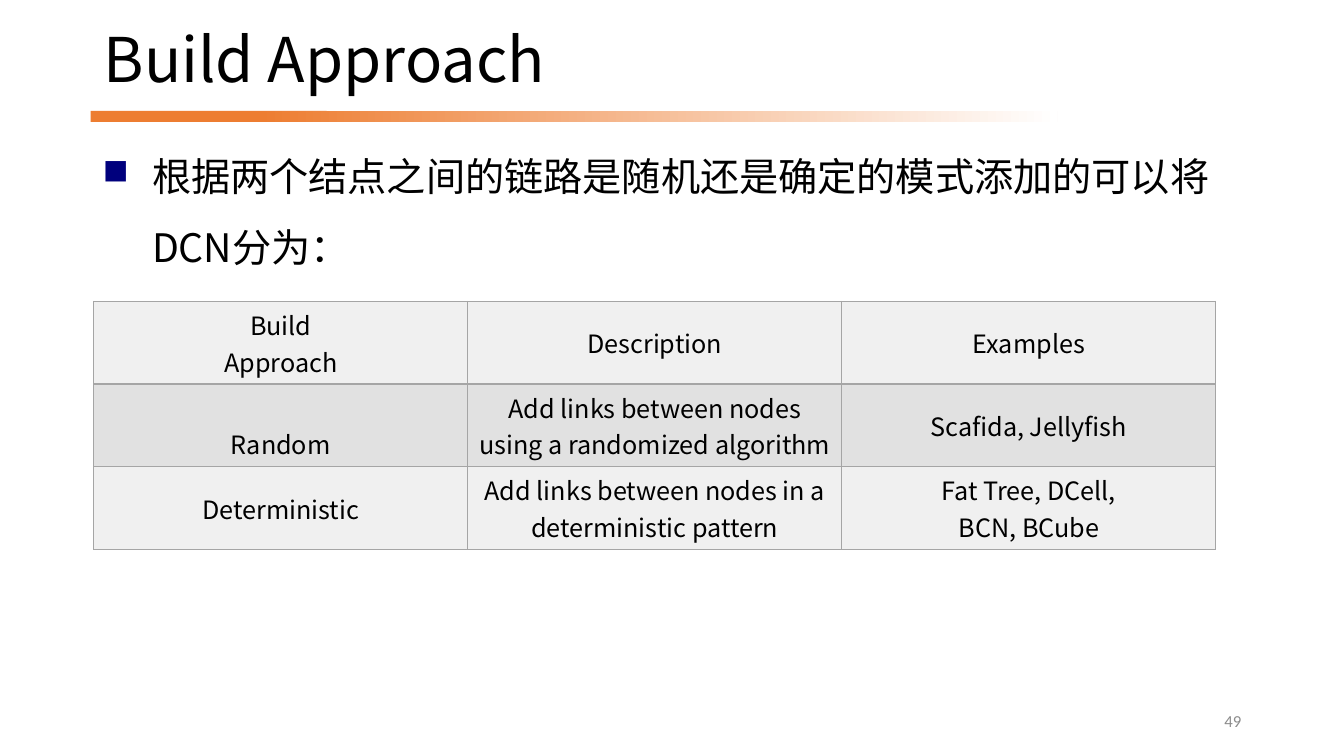
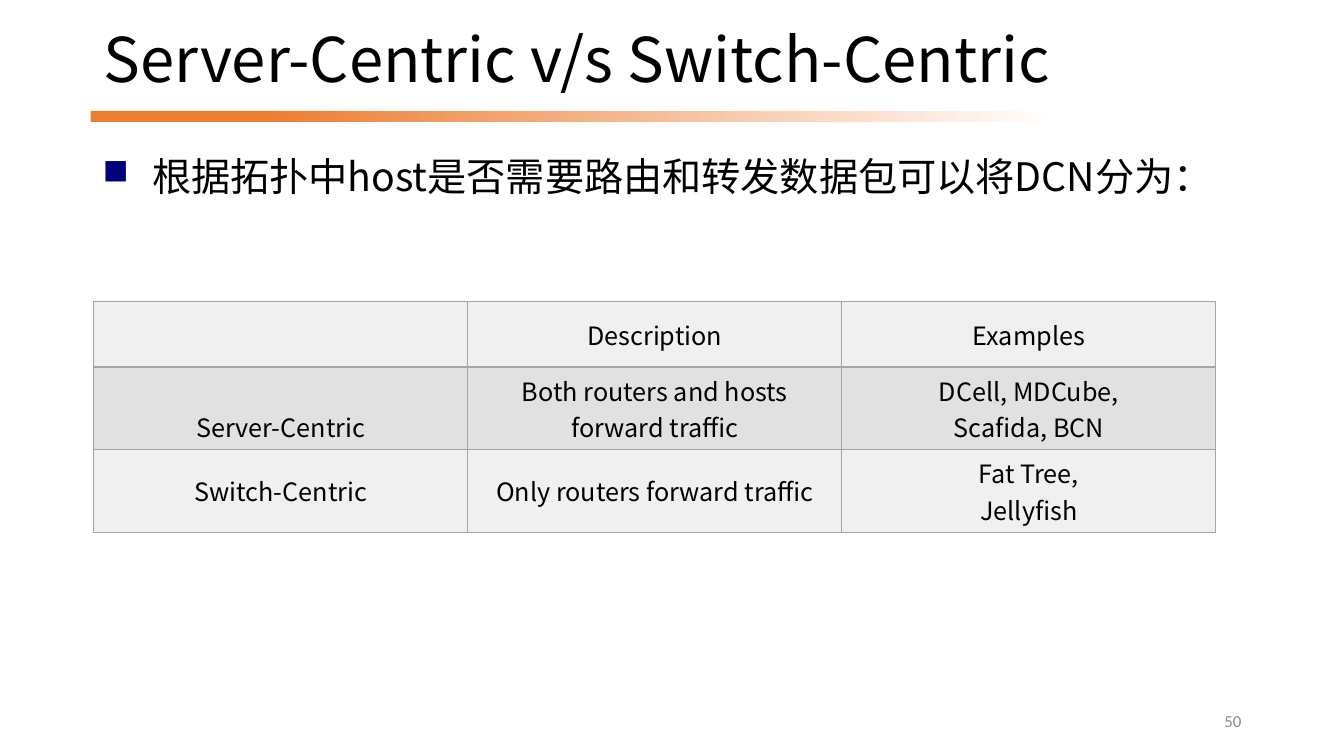
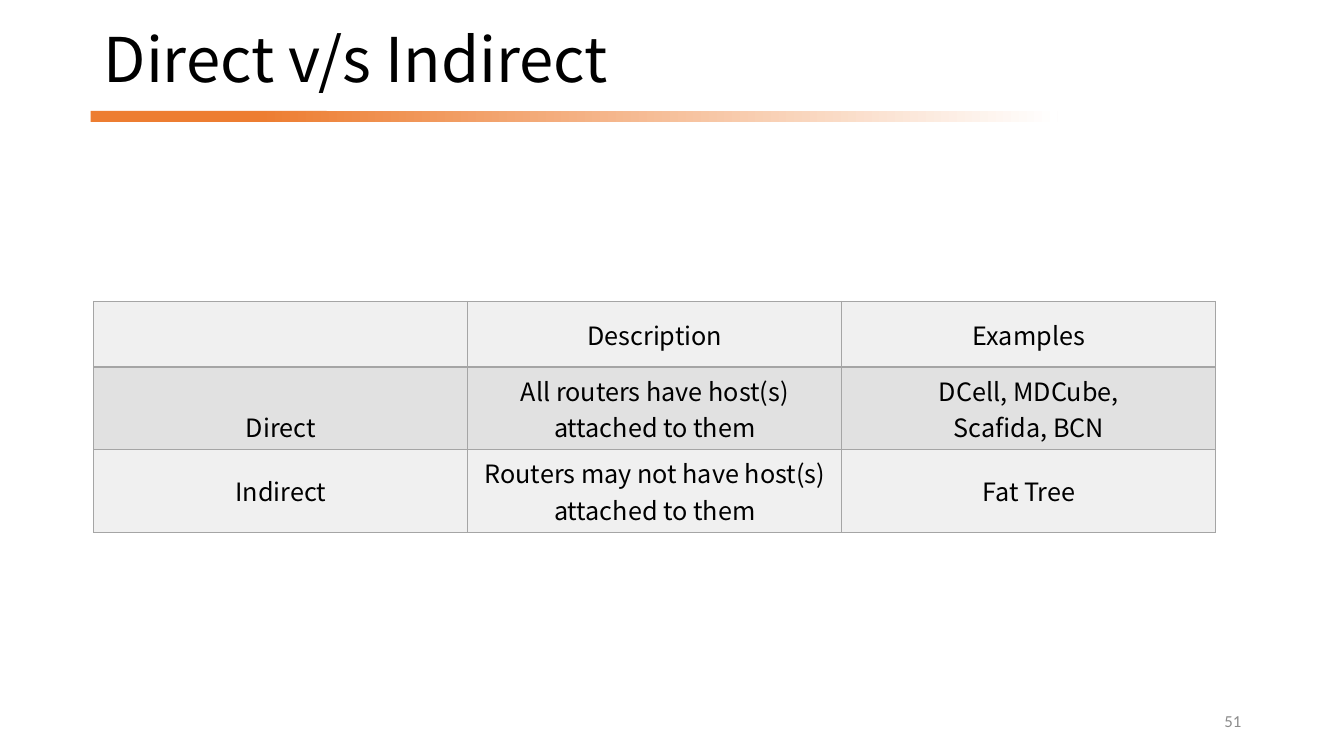
from dataclasses import dataclass

from lxml.etree import SubElement
from pptx import Presentation
from pptx.dml.color import RGBColor
from pptx.enum.shapes import MSO_SHAPE
from pptx.enum.text import MSO_ANCHOR, PP_ALIGN
from pptx.oxml.ns import qn
from pptx.util import Inches, Pt


@dataclass(frozen=True)
class Theme:
    ink: str = "000000"
    bar: str = "ED7D31"
    paper: str = "FFFFFF"
    mark: str = "00007D"
    grey: str = "8C8C8C"
    edge: str = "A5A5A5"
    pale: str = "F0F0F0"
    dark: str = "E1E1E1"
    face: str = "Noto Sans CJK SC"
    plain: str = "Calibri"
    signs: str = "Wingdings"
    title: int = 44
    body: int = 28
    cell: int = 18
    foot: int = 12


def rgb(code):
    return RGBColor.from_string(code)


def put(item, form):
    for key, value in form.items():
        setattr(item, key, value)


def node(parent, tag, **attrs):
    return SubElement(parent, qn(tag), attrs)


class Deck:
    def __init__(self, theme):
        self.theme = theme
        self.prs = Presentation()
        put(self.prs, {"slide_width": Inches(13.33), "slide_height": Inches(7.5)})
        self.slide = None

    # Shared frame: title, bar and page number
    def page(self, title, number):
        look = self.theme
        self.slide = self.prs.slides.add_slide(self.prs.slide_layouts[6])
        self.band(0.9, 2.34)
        self.band(2.57, 7.92, fade=True)
        self.text((0.93, 0.18, 11.14, 0.89), title, look.title,
                  form={"line_spacing": 0.9})
        self.text((9.41, 6.95, 3, 0.4), str(number), look.foot, look.plain,
                  look.grey, {"alignment": PP_ALIGN.RIGHT})

    def band(self, left, width, fade=False):
        box = [Inches(n) for n in (left, 1.1, width, 0.11)]
        shape = self.slide.shapes.add_shape(MSO_SHAPE.RECTANGLE, *box)
        shape.shadow.inherit = False
        shape.line.fill.background()
        if fade:
            shape.fill.gradient()
            shape.fill.gradient_angle = 0
            tones = (self.theme.bar, self.theme.paper)
            for stop, tone in zip(shape.fill.gradient_stops, tones):
                stop.color.rgb = rgb(tone)
        else:
            shape.fill.solid()
            shape.fill.fore_color.rgb = rgb(self.theme.bar)

    # Text
    def run(self, para, words, size, face=None, tone=None):
        face = face or self.theme.face
        run = para.add_run()
        run.text = words
        put(run.font, {"size": Pt(size), "name": face})
        run.font.color.rgb = rgb(tone or self.theme.ink)
        node(run.font._element, "a:ea", typeface=face)

    def text(self, box, words, size, face=None, tone=None, form=None,
             anchor=MSO_ANCHOR.MIDDLE):
        frame = self.slide.shapes.add_textbox(*map(Inches, box)).text_frame
        put(frame, {"word_wrap": True, "vertical_anchor": anchor})
        para = frame.paragraphs[0]
        put(para, form or {})
        self.run(para, words, size, face, tone)
        return frame

    def bullet(self, words):
        frame = self.text((0.92, 1.23, 11.5, 5.37), words, self.theme.body,
                          form={"line_spacing": 1.5}, anchor=MSO_ANCHOR.TOP)
        props = frame.paragraphs[0]._p.get_or_add_pPr()
        hang = Inches(0.49)
        props.set("marL", str(hang))
        props.set("indent", str(-hang))
        node(node(props, "a:buClr"), "a:srgbClr", val=self.theme.mark)
        node(props, "a:buSzPct", val="90000")
        # In this symbol font the letter n is a filled square
        node(props, "a:buFont", typeface=self.theme.signs, charset="2")
        node(props, "a:buChar", char="n")

    # Table
    def table(self, rows):
        # A row is taller when any of its cells has two lines
        tall = [0.82 if r or "\n" in row[0] else 0.65
                for r, row in enumerate(rows)]
        wide = 3.71
        box = [Inches(n) for n in (0.93, 2.99, wide * len(rows[0]), sum(tall))]
        grid = self.slide.shapes.add_table(len(rows), len(rows[0]), *box).table
        put(grid, {"first_row": False, "horz_banding": False})
        for column in grid.columns:
            column.width = Inches(wide)
        for r, row in enumerate(rows):
            grid.rows[r].height = Inches(tall[r])
            for c, words in enumerate(row):
                self.cell(grid.cell(r, c), words, r % 2 == 1, c == 0)

    def cell(self, cell, words, dark, first):
        self.edges(cell)
        cell.vertical_anchor = MSO_ANCHOR.MIDDLE
        cell.fill.solid()
        cell.fill.fore_color.rgb = rgb(self.theme.dark if dark else self.theme.pale)
        form = {"alignment": PP_ALIGN.CENTER}
        if dark and first:
            form["line_spacing"] = 2.0
        frame = cell.text_frame
        for i, line in enumerate(words.split("\n") if words else []):
            para = frame.add_paragraph() if i else frame.paragraphs[0]
            put(para, form)
            self.run(para, line, self.theme.cell)

    def edges(self, cell):
        props = cell._tc.get_or_add_tcPr()
        for side in "LRTB":
            line = node(props, f"a:ln{side}", w=str(Pt(1)))
            node(node(line, "a:solidFill"), "a:srgbClr", val=self.theme.edge)


PAGES = [
    ("Build Approach",
     "根据两个结点之间的链路是随机还是确定的模式添加的可以将DCN分为：",
     [("Build\nApproach", "Description", "Examples"),
      ("Random", "Add links between nodes\nusing a randomized algorithm",
       "Scafida, Jellyfish"),
      ("Deterministic", "Add links between nodes in a\ndeterministic pattern",
       "Fat Tree, DCell,\nBCN, BCube")]),
    ("Server-Centric v/s Switch-Centric",
     "根据拓扑中host是否需要路由和转发数据包可以将DCN分为：",
     [("", "Description", "Examples"),
      ("Server-Centric", "Both routers and hosts\nforward traffic",
       "DCell, MDCube,\nScafida, BCN"),
      ("Switch-Centric", "Only routers forward traffic",
       "Fat Tree,\nJellyfish")]),
    ("Direct v/s Indirect",
     None,
     [("", "Description", "Examples"),
      ("Direct", "All routers have host(s)\nattached to them",
       "DCell, MDCube,\nScafida, BCN"),
      ("Indirect", "Routers may not have host(s)\nattached to them",
       "Fat Tree")]),
]


def main():
    deck = Deck(Theme())
    for number, (title, point, rows) in enumerate(PAGES, 49):
        deck.page(title, number)
        if point:
            deck.bullet(point)
        deck.table(rows)
    deck.prs.save("out.pptx")


if __name__ == "__main__":
    main()
